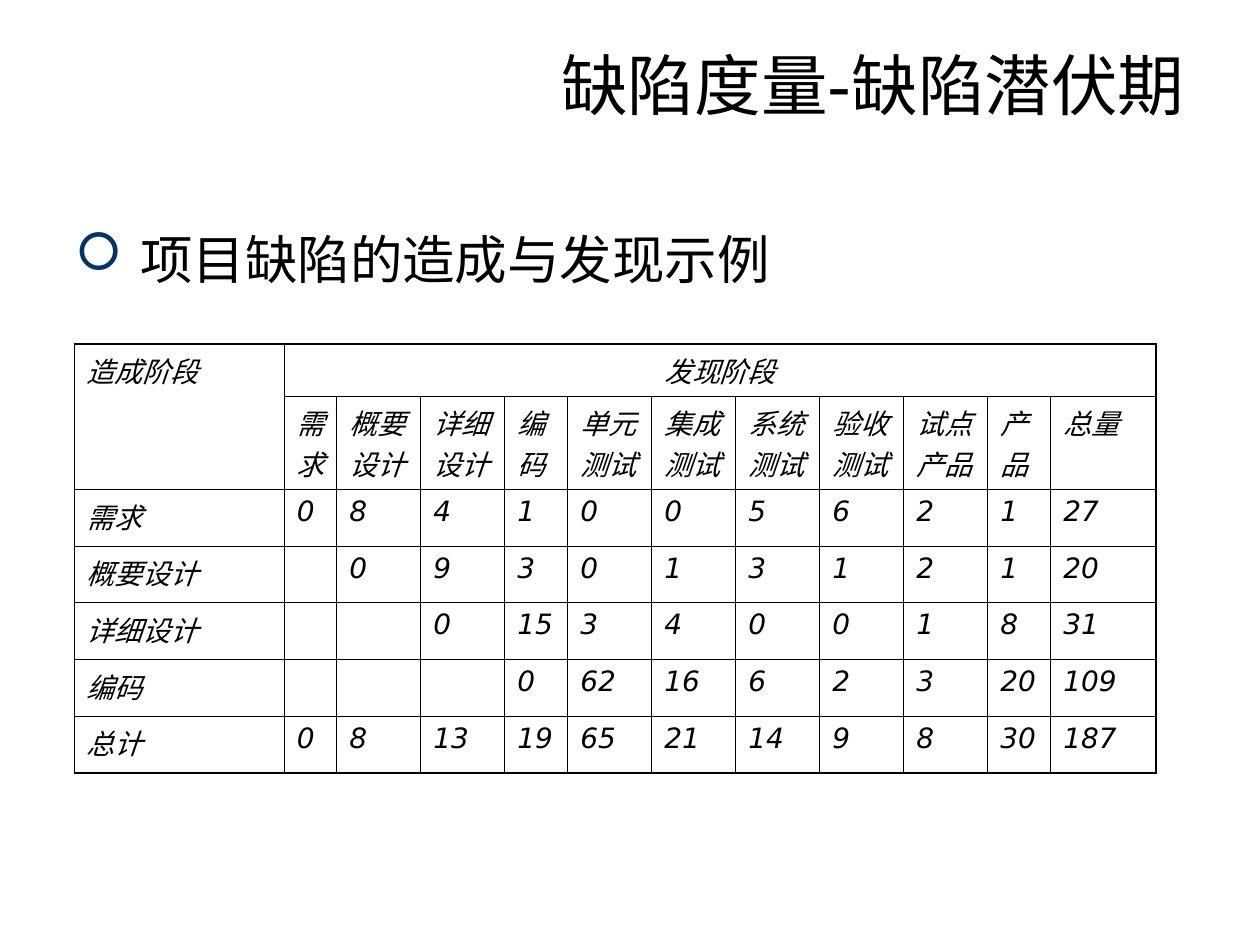
from lxml import etree
from pptx import Presentation
from pptx import util as u
from pptx.dml import color
from pptx.enum import text
from pptx.oxml import ns

FONT = "DejaVu Sans"
BLACK = "000000"
NAVY = "003366"
THIN, THICK = 0.45, 1.08

COLUMN_WIDTHS = [120, 30, 48, 48, 36, 48, 48, 48, 48, 48, 36, 60]
ROW_HEIGHTS = [30, 53.2] + [32.4] * 5
ROWS = [
    ["造成阶段", "发现阶段"] + [""] * 10,
    ["", "需求", "概要设计", "详细设计", "编码", "单元测试", "集成测试",
     "系统测试", "验收测试", "试点产品", "产品", "总量"],
    ["需求", 0, 8, 4, 1, 0, 0, 5, 6, 2, 1, 27],
    ["概要设计", "", 0, 9, 3, 0, 1, 3, 1, 2, 1, 20],
    ["详细设计", "", "", 0, 15, 3, 4, 0, 0, 1, 8, 31],
    ["编码", "", "", "", 0, 62, 16, 6, 2, 3, 20, 109],
    ["总计", 0, 8, 13, 19, 65, 21, 14, 9, 8, 30, 187],
]


def rgb(value):
    return color.RGBColor.from_string(value)


def add_element(parent, tag, **attributes):
    return etree.SubElement(parent, ns.qn(tag), attributes)


def style_paragraph(paragraph, size, italic=False):
    font = paragraph.font
    font.name = FONT
    font.size = u.Pt(size)
    font.italic = italic
    font.color.rgb = rgb(BLACK)


def add_text(slide, words, left, top, width, height):
    shape = slide.shapes.add_textbox(u.Pt(left), u.Pt(top), u.Pt(width), u.Pt(height))
    shape.text_frame.word_wrap = True
    paragraph = shape.text_frame.paragraphs[0]
    paragraph.text = words
    return paragraph


def add_bullet(paragraph, character, hex_color, indent):
    properties = paragraph._p.get_or_add_pPr()
    properties.set("marL", str(u.Pt(indent)))
    properties.set("indent", str(-u.Pt(indent)))
    bullet_color = add_element(properties, "a:buClr")
    add_element(bullet_color, "a:srgbClr", val=hex_color)
    add_element(properties, "a:buFont", typeface="Wingdings", charset="2")
    add_element(properties, "a:buChar", char=character)


def set_borders(cell, widths):
    properties = cell._tc.get_or_add_tcPr()
    for side, width in widths.items():
        line = add_element(properties, f"a:ln{side}", w=str(u.Pt(width)))
        fill = add_element(line, "a:solidFill")
        add_element(fill, "a:srgbClr", val=BLACK)


def add_defect_table(slide, left, top):
    row_count, column_count = len(ROWS), len(COLUMN_WIDTHS)
    table = slide.shapes.add_table(
        row_count, column_count, u.Pt(left), u.Pt(top),
        u.Pt(sum(COLUMN_WIDTHS)), u.Pt(sum(ROW_HEIGHTS))).table
    table.first_row = False
    table.horz_banding = False
    for column, width in zip(table.columns, COLUMN_WIDTHS):
        column.width = u.Pt(width)
    for row, height in zip(table.rows, ROW_HEIGHTS):
        row.height = u.Pt(height)
    for i, values in enumerate(ROWS):
        for j, value in enumerate(values):
            cell = table.cell(i, j)
            reaches_right = j == column_count - 1 or (i == 0 and j > 0)
            set_borders(cell, {
                "L": THICK if j == 0 else THIN,
                "R": THICK if reaches_right else THIN,
                "T": THICK if i == 0 else THIN,
                "B": THICK if i == row_count - 1 else THIN,
            })
            cell.fill.background()
            paragraph = cell.text_frame.paragraphs[0]
            paragraph.text = str(value)
            style_paragraph(paragraph, 16, italic=True)
    table.cell(0, 0).merge(table.cell(1, 0))
    table.cell(0, 1).merge(table.cell(0, column_count - 1))
    table.cell(0, 1).text_frame.paragraphs[0].alignment = text.PP_ALIGN.CENTER


def main():
    presentation = Presentation()
    presentation.slide_width = u.Pt(720)
    presentation.slide_height = u.Pt(540)
    slide = presentation.slides.add_slide(presentation.slide_layouts[6])

    title = add_text(slide, "缺陷度量-缺陷潜伏期", 36, 21.6, 648, 90)
    title.alignment = text.PP_ALIGN.RIGHT
    style_paragraph(title, 38)

    heading = add_text(slide, "项目缺陷的造成与发现示例", 36, 126, 648, 356.4)
    add_bullet(heading, "□", NAVY, 37)
    style_paragraph(heading, 30)

    add_defect_table(slide, 42.5, 196.5)
    presentation.save("out.pptx")


if __name__ == "__main__":
    main()
